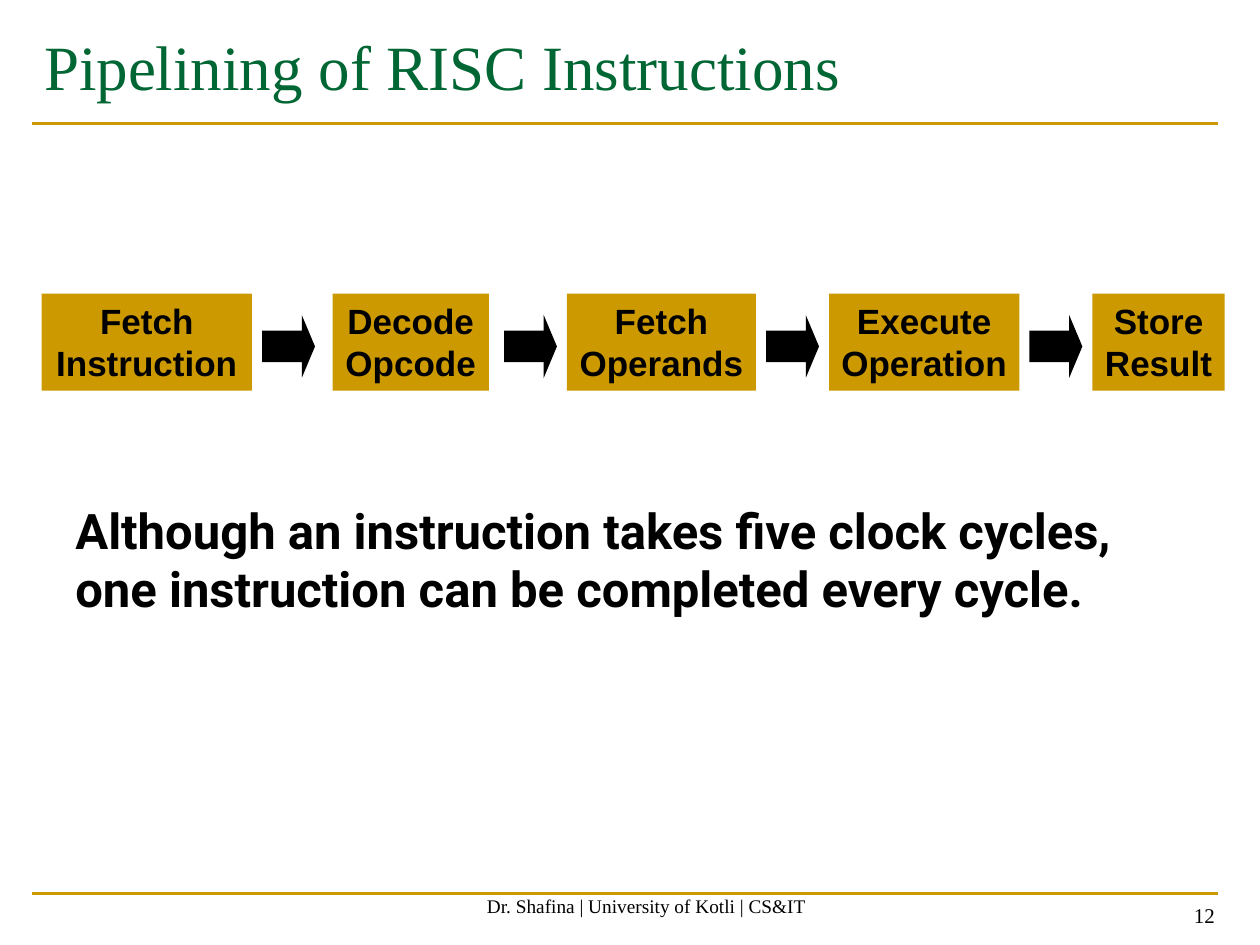
from pptx import Presentation
from pptx import util as u
from pptx.dml.color import RGBColor
from pptx.enum import shapes, text
from pptx.oxml.ns import qn
from lxml import etree

WIDTH, HEIGHT = 10, 7.5
GOLD, GREEN, BLACK = "CC9900", "006633", "000000"
STAGE_TOP, STAGE_HEIGHT = 2.33, 0.77
ARROW_TOP, ARROW_WIDTH, ARROW_HEIGHT = 2.5, 0.42, 0.5

# Label lines, left edge and width of each pipeline stage
STAGES = [
    (["Fetch", "Instruction"], 0.33, 1.67),
    (["Decode", "Opcode"], 2.64, 1.24),
    (["Fetch", "Operands"], 4.5, 1.5),
    (["Execute", "Operation"], 6.58, 1.51),
    (["Store", "Result"], 8.67, 1.05),
]
ARROW_LEFTS = [2.08, 4, 6.08, 8.17]

TITLE_FONT = {"name": "Times New Roman", "size": u.Pt(36), "bold": False}
STAGE_FONT = {"name": "Arial", "size": u.Pt(20), "bold": True}
MESSAGE_FONT = {"name": "Roboto", "size": u.Pt(28), "bold": True}
CREDIT_FONT = {"name": "Times New Roman", "size": u.Pt(11)}
NUMBER_FONT = {"name": "Times New Roman", "size": u.Pt(12)}


def color(value):
    return RGBColor.from_string(value)


def inches(*lengths):
    return [u.Inches(length) for length in lengths]


def write(shape, lines, font, ink=BLACK, align=text.PP_ALIGN.LEFT,
          anchor=text.MSO_ANCHOR.TOP, wrap=True):
    frame = shape.text_frame
    frame.word_wrap = wrap
    frame.vertical_anchor = anchor
    for index, line in enumerate(lines):
        paragraph = frame.add_paragraph() if index else frame.paragraphs[0]
        paragraph.alignment = align
        run = paragraph.add_run()
        run.text = line
        for key, value in font.items():
            setattr(run.font, key, value)
        run.font.color.rgb = color(ink)


def add_title(slide, wording):
    title = slide.shapes.title
    title.left, title.top, title.width, title.height = inches(0.25, 0.17, 9.42, 1.17)
    write(title, [wording], TITLE_FONT, GREEN)


def add_rule(slide, y):
    rule = slide.shapes.add_connector(
        shapes.MSO_CONNECTOR.STRAIGHT, *inches(0.25, y, 9.67, y))
    rule.line.color.rgb = color(GOLD)
    rule.line.width = u.Pt(1.5)
    etree.SubElement(rule._element.spPr, qn("a:effectLst"))


def add_solid(slide, kind, box, fill):
    solid = slide.shapes.add_shape(kind, *inches(*box))
    solid.shadow.inherit = False
    solid.fill.solid()
    solid.fill.fore_color.rgb = color(fill)
    solid.line.fill.background()
    return solid


def add_stage(slide, lines, left, width):
    stage = add_solid(slide, shapes.MSO_SHAPE.RECTANGLE,
                      (left, STAGE_TOP, width, STAGE_HEIGHT), GOLD)
    write(stage, lines, STAGE_FONT, align=text.PP_ALIGN.CENTER, wrap=False)


def add_arrow(slide, left):
    arrow = add_solid(slide, shapes.MSO_SHAPE.RIGHT_ARROW,
                      (left, ARROW_TOP, ARROW_WIDTH, ARROW_HEIGHT), BLACK)
    arrow.adjustments[0], arrow.adjustments[1] = 0.5, 0.25


def add_text(slide, box, lines, font, **layout):
    write(slide.shapes.add_textbox(*inches(*box)), lines, font, **layout)


def main():
    deck = Presentation()
    deck.slide_width, deck.slide_height = inches(WIDTH, HEIGHT)
    slide = deck.slides.add_slide(deck.slide_layouts[5])

    # Heading and the rules above and below the content
    for y in (7.09, 0.98):
        add_rule(slide, y)
    add_title(slide, "Pipelining of RISC Instructions")

    # Pipeline
    for lines, left, width in STAGES:
        add_stage(slide, lines, left, width)
    for left in ARROW_LEFTS:
        add_arrow(slide, left)

    # Message
    add_text(slide, (0.5, 3.92, 9.44, 1.04),
             ["Although an instruction takes five clock cycles,",
              "one instruction can be completed every cycle."], MESSAGE_FONT)

    # Footer
    bottom = text.MSO_ANCHOR.BOTTOM
    add_text(slide, (3.42, 6.83, 3.42, 0.5),
             ["Dr. Shafina | University of Kotli | CS&IT"], CREDIT_FONT,
             align=text.PP_ALIGN.CENTER, anchor=bottom)
    add_text(slide, (7.41, 6.91, 2.33, 0.5), ["12"], NUMBER_FONT,
             align=text.PP_ALIGN.RIGHT, anchor=bottom)

    deck.save("out.pptx")


if __name__ == "__main__":
    main()
